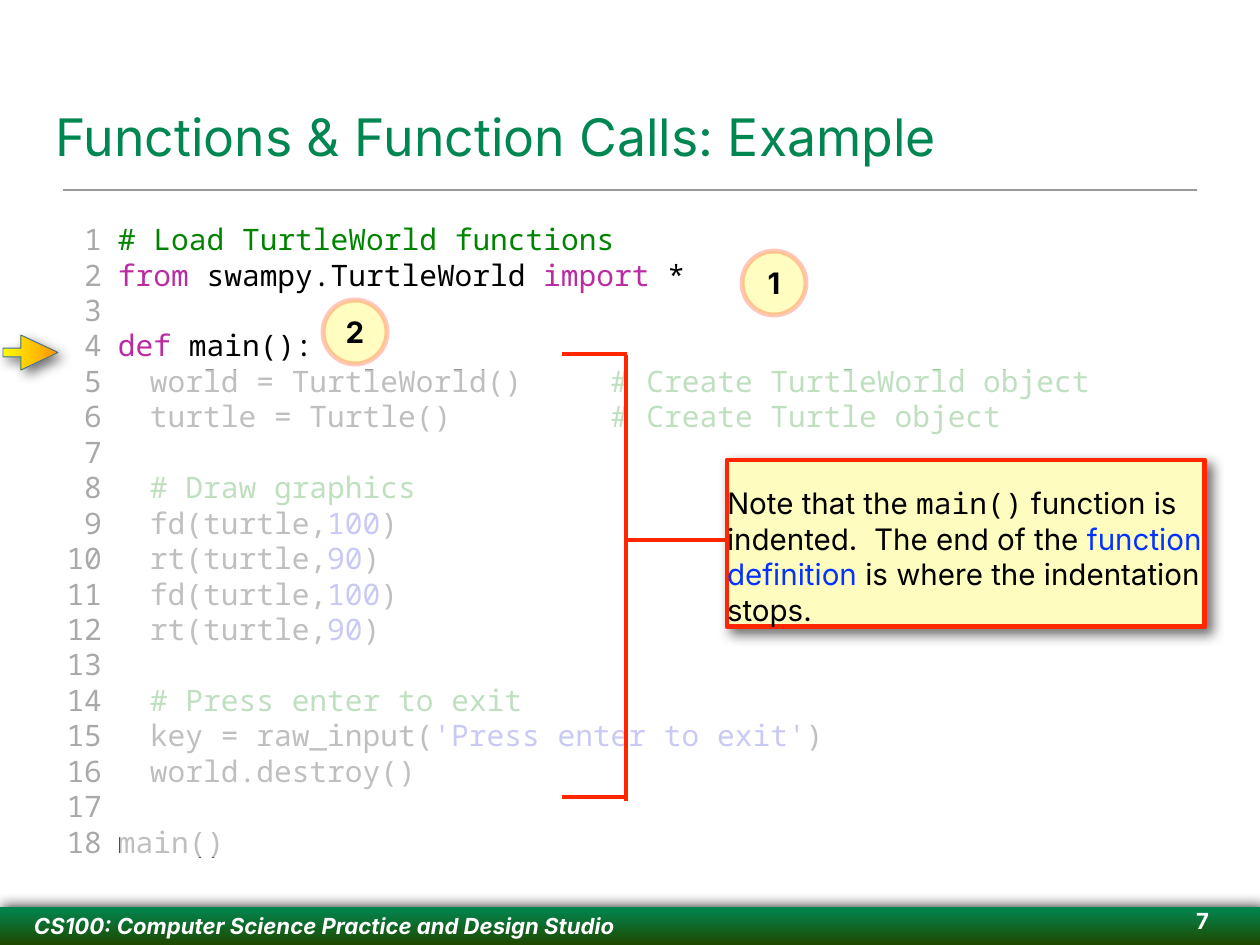
from lxml.etree import SubElement
from pptx import Presentation
from pptx.dml.color import RGBColor
from pptx.enum.shapes import MSO_CONNECTOR, MSO_SHAPE
from pptx.enum.text import MSO_ANCHOR, MSO_AUTO_SIZE, PP_ALIGN
from pptx.oxml.ns import qn
from pptx.util import Pt

SCALE = 914400 / 88.6  # EMU per pixel
SANS, MONO = "Inter", "Noto Sans Mono"
BLACK, WHITE, GREY, RED, YELLOW = "000000", "FFFFFF", "A9A9A9", "FF2600", "FFFB00"
COMMENT, KEYWORD, LITERAL = "008400", "BB2CA2", "272AD8"
LINE_PITCH = 28.8  # points
INDENT_TAB, COMMENT_TAB = 32, 493

# Content
TITLE = "Functions & Function Calls: Example"
FOOTER = "CS100: Computer Science Practice and Design Studio"
SLIDE_NUMBER = "7"


def turtle_call(name, value):
    return [(f"\t{name}(turtle,", BLACK), (value, LITERAL), (")", BLACK)]


CODE = [  # an empty list is an empty code line
    [("# Load TurtleWorld functions", COMMENT)],
    [("from", KEYWORD), (" swampy.TurtleWorld ", BLACK), ("import", KEYWORD), (" *", BLACK)],
    [],
    [("def", KEYWORD), (" main():", BLACK)],
    [("\tworld = TurtleWorld()\t", BLACK), ("# Create TurtleWorld object", COMMENT)],
    [("\tturtle = Turtle()\t", BLACK), ("# Create Turtle object", COMMENT)],
    [],
    [("\t# Draw graphics", COMMENT)],
    turtle_call("fd", "100"),
    turtle_call("rt", "90"),
    turtle_call("fd", "100"),
    turtle_call("rt", "90"),
    [],
    [("\t# Press enter to exit", COMMENT)],
    [("\tkey = raw_input(", BLACK), ("'Press enter to exit'", LITERAL), (")", BLACK)],
    [("\tworld.destroy()", BLACK)],
    [],
    [("main()", BLACK)],
]
NOTE = [
    ("Note that the ", BLACK, SANS),
    ("main()", BLACK, MONO),
    (" function is indented.  The end of the ", BLACK, SANS),
    ("function definition", "0433FF", SANS),
    (" is where the indentation stops.", BLACK, SANS),
]
STEPS = [("1", 742, 251), ("2", 323, 300)]
BRACKET = [(562, 354, 627, 354), (624, 540, 731, 540), (562, 797, 628, 797), (626, 355, 626, 801)]


def px(value):
    return round(value * SCALE)


def color(value):
    return RGBColor.from_string(value)


def add_run(paragraph, text, tint, font=SANS, size=24, bold=False, italic=False):
    run = paragraph.add_run()
    run.text = text
    run.font.name, run.font.size = font, Pt(size)
    run.font.bold, run.font.italic = bold, italic
    run.font.color.rgb = color(tint)


def set_frame(shape, anchor, wrap=True):
    frame = shape.text_frame
    frame.margin_left = frame.margin_right = frame.margin_top = frame.margin_bottom = 0
    frame.auto_size = MSO_AUTO_SIZE.NONE
    frame.word_wrap, frame.vertical_anchor = wrap, anchor
    frame.paragraphs[0].alignment = PP_ALIGN.LEFT
    return frame


def add_text_box(box, anchor, wrap=True):
    return set_frame(slide.shapes.add_textbox(*map(px, box)), anchor, wrap)


def add_shape(kind, box, fill, line=None, weight=4, opacity=None):
    shape = slide.shapes.add_shape(kind, *map(px, box))
    shape.shadow.inherit = False
    if isinstance(fill, tuple):
        shape.fill.gradient()
        shape.fill.gradient_angle = fill[2]
        for stop, tint, position in zip(shape.fill.gradient_stops, fill, (0, 1)):
            stop.color.rgb, stop.position = color(tint), position
    else:
        shape.fill.solid()
        shape.fill.fore_color.rgb = color(fill)
    if line:
        shape.line.color.rgb, shape.line.width = color(line), Pt(weight)
    else:
        shape.line.fill.background()
    if opacity:
        for node in shape.element.spPr.iter(qn("a:srgbClr")):
            SubElement(node, qn("a:alpha"), val=str(opacity * 1000))
    return shape


def add_shadow(shape, tint, distance, angle):
    effects = shape.element.spPr.find(qn("a:effectLst"))
    shadow = SubElement(effects, qn("a:outerShdw"), blurRad=str(Pt(10)), dist=str(Pt(distance)),
                        dir=str(angle * 60000), algn="ctr", rotWithShape="0")
    node = SubElement(shadow, qn("a:srgbClr"), val=tint)
    SubElement(node, qn("a:alpha"), val="75000")


def add_line(ends, tint, weight):
    line = slide.shapes.add_connector(MSO_CONNECTOR.STRAIGHT, *map(px, ends))
    line.line.color.rgb, line.line.width = color(tint), Pt(weight)
    SubElement(line.element.spPr, qn("a:effectLst"))


def add_code_lines(frame, lines, alignment, tabs=()):
    """Write code lines; an empty line becomes space before the next one."""
    paragraph, gap = frame.paragraphs[0], 0
    for index, runs in enumerate(lines):
        if not runs:
            gap += LINE_PITCH
            continue
        if index:
            paragraph = frame.add_paragraph()
        paragraph.alignment = alignment
        paragraph.line_spacing, paragraph.space_before = Pt(LINE_PITCH), Pt(gap)
        gap = 0
        if tabs:
            stops = SubElement(paragraph._p.get_or_add_pPr(), qn("a:tabLst"))
            for stop in tabs:
                SubElement(stops, qn("a:tab"), pos=str(px(stop)), algn="l")
        for text, tint in runs:
            add_run(paragraph, text, tint, MONO)


presentation = Presentation()
presentation.slide_width, presentation.slide_height = px(1260), px(945)
slide = presentation.slides.add_slide(presentation.slide_layouts[5])

# Title and rule
title = slide.shapes.title
title.left, title.top, title.width, title.height = map(px, (55, 32, 1149, 135))
add_run(set_frame(title, MSO_ANCHOR.BOTTOM).paragraphs[0], TITLE, "008751", size=42)
add_line((63, 190, 1197, 190), "9A9A9A", 1)

# Footer band and slide number
footer = add_shape(MSO_SHAPE.RECTANGLE, (0, 907, 1260, 38), ("008751", "1F4800", 270))
add_shadow(footer, BLACK, 2, 315)
frame = set_frame(footer, MSO_ANCHOR.MIDDLE)
frame.margin_left = px(34)
add_run(frame.paragraphs[0], FOOTER, WHITE, size=18, bold=True, italic=True)
paragraph = add_text_box((1174, 907, 35, 37), MSO_ANCHOR.TOP).paragraphs[0]
paragraph.alignment = PP_ALIGN.RIGHT
add_run(paragraph, SLIDE_NUMBER, WHITE, size=18, bold=True)

# Code with line numbers
add_code_lines(add_text_box((118, 229, 1078, 630), MSO_ANCHOR.BOTTOM), CODE,
               PP_ALIGN.LEFT, (INDENT_TAB, COMMENT_TAB))
numbers = [[(str(number), GREY)] for number in range(1, len(CODE) + 1)]
add_code_lines(add_text_box((57, 229, 45, 630), MSO_ANCHOR.BOTTOM), numbers, PP_ALIGN.RIGHT)

# Veil over the lines not yet reached
add_shape(MSO_SHAPE.RECTANGLE, (120, 370, 1000, 487), WHITE, opacity=75)

# Step circles
for label, left, top in STEPS:
    circle = add_shape(MSO_SHAPE.OVAL, (left, top, 64, 64), YELLOW, RED, opacity=25)
    paragraph = set_frame(circle, MSO_ANCHOR.MIDDLE, wrap=False).paragraphs[0]
    paragraph.alignment = PP_ALIGN.CENTER
    add_run(paragraph, label, BLACK, bold=True)

# Bracket and note
for ends in BRACKET:
    add_line(ends, RED, 4)
note = add_shape(MSO_SHAPE.RECTANGLE, (727, 460, 478, 167), "FFFCC0", RED)
add_shadow(note, "424242", 6, 45)
paragraph = set_frame(note, MSO_ANCHOR.BOTTOM).paragraphs[0]
for text, tint, font in NOTE:
    add_run(paragraph, text, tint, font)

# Current line arrow
arrow = add_shape(MSO_SHAPE.RIGHT_ARROW, (3, 335, 55, 35), (YELLOW, "FF9300", 0), "3A6EA5", 0.75)
arrow.adjustments[0], arrow.adjustments[1] = 0.25, 1.06
add_shadow(arrow, "424242", 6, 45)

presentation.save("out.pptx")
